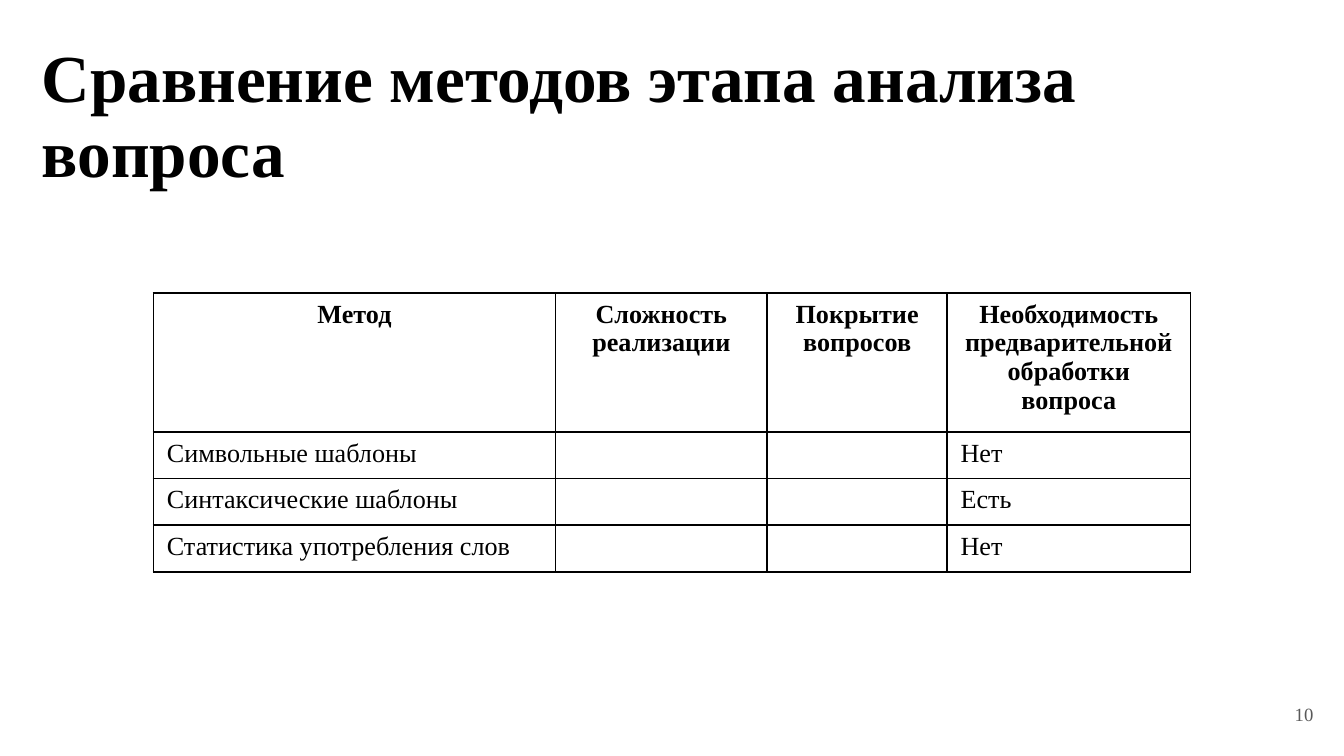
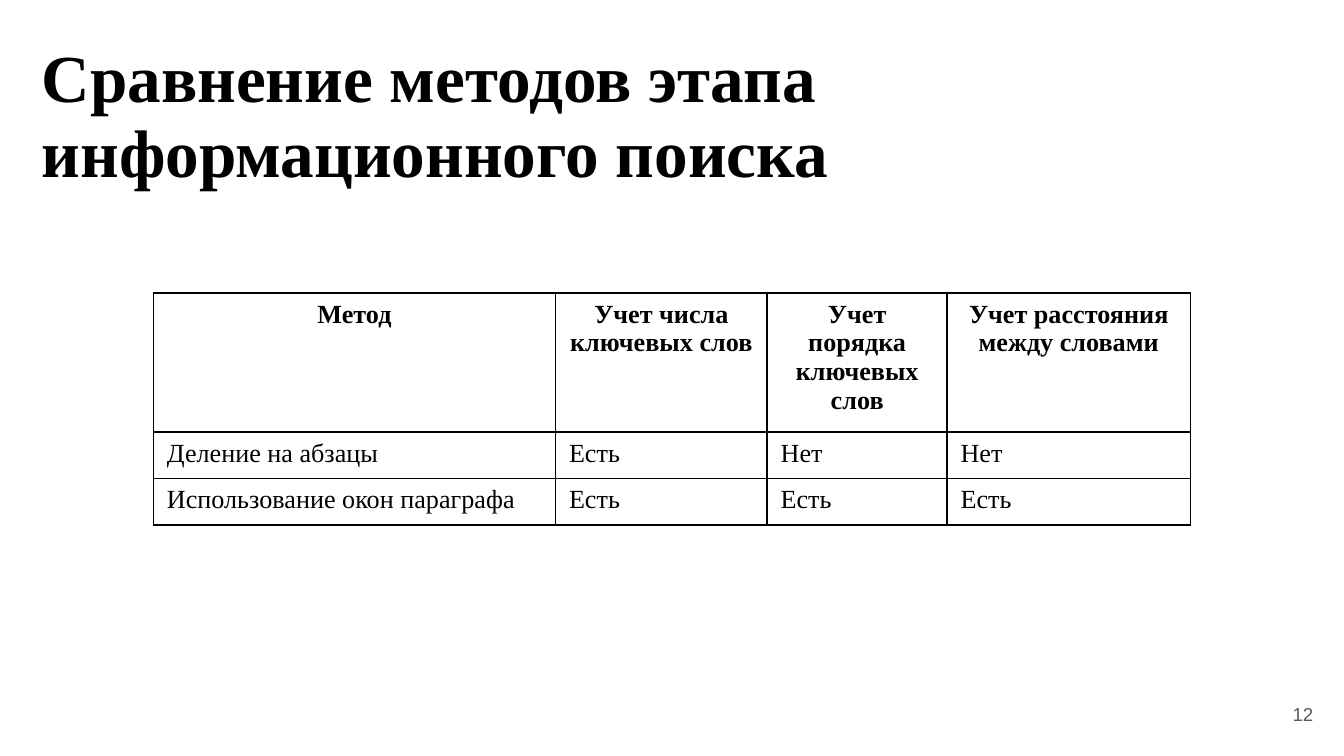
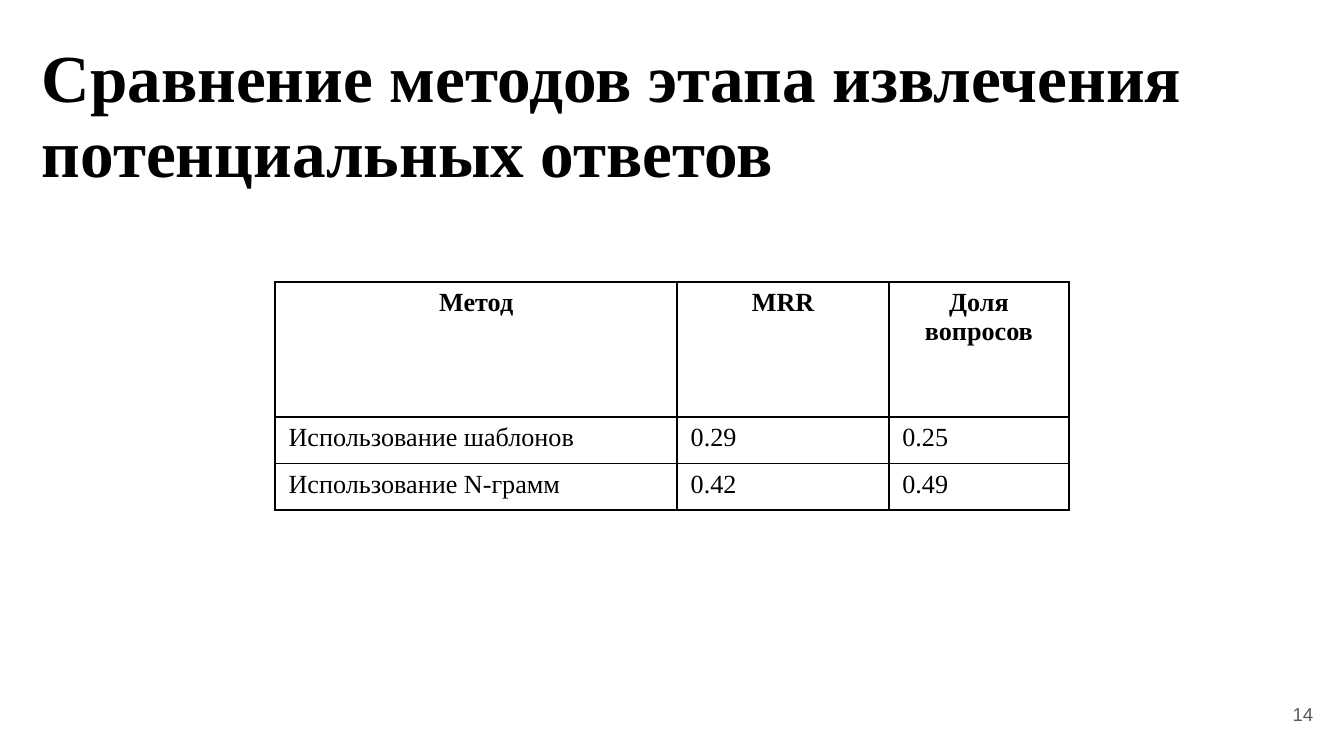
from dataclasses import dataclass

from lxml import etree
from pptx import Presentation
from pptx.dml.color import RGBColor
from pptx.enum.text import MSO_ANCHOR, PP_ALIGN
from pptx.oxml.ns import qn
from pptx.util import Cm, Pt

LEFT, MID, RIGHT = PP_ALIGN.LEFT, PP_ALIGN.CENTER, PP_ALIGN.RIGHT
TOP, CENTER = MSO_ANCHOR.TOP, MSO_ANCHOR.MIDDLE

SLIDES = [
    {
        "title": "Сравнение методов этапа анализа вопроса",
        "page": ("10", "Times New Roman"),
        "top": 5.54,
        "rows": [
            ("Метод", "Сложность реализации", "Покрытие вопросов",
             "Необходимость предварительной обработки вопроса"),
            ("Символьные шаблоны", "", "", "Нет"),
            ("Синтаксические шаблоны", "", "", "Есть"),
            ("Статистика употребления слов", "", "", "Нет"),
        ],
    },
    {
        "title": "Сравнение методов этапа информационного поиска",
        "page": ("12", "Arial"),
        "top": 5.54,
        "rows": [
            ("Метод", "Учет числа ключевых слов", "Учет порядка ключевых слов",
             "Учет расстояния между словами"),
            ("Деление на абзацы", "Есть", "Нет", "Нет"),
            ("Использование окон параграфа", "Есть", "Есть", "Есть"),
        ],
    },
    {
        "title": "Сравнение методов этапа извлечения потенциальных ответов",
        "page": ("14", "Arial"),
        "top": 5.33,
        "rows": [
            ("Метод", "MRR", "Доля вопросов"),
            ("Использование шаблонов", "0.29", "0.25"),
            ("Использование N-грамм", "0.42", "0.49"),
        ],
    },
]

WIDE, HIGH = 25.4, 14.29
COLS = (7.6, 4, 3.4, 4.6)
HEAD, ROW = 2.55, 0.88


@dataclass(frozen=True)
class Theme:
    ink: str = "000000"
    gray: str = "595959"
    face: str = "Times New Roman"
    title: int = 36
    cell: int = 14
    page: int = 10
    rule: int = 1


THEME = Theme()


def set_all(item, values):
    for name, value in values.items():
        setattr(item, name, value)


def write(par, text, size, color, face=THEME.face, bold=False, align=LEFT):
    par.alignment = align
    run = par.add_run()
    run.text = text
    set_all(run.font, {"name": face, "size": Pt(size), "bold": bold})
    run.font.color.rgb = RGBColor.from_string(color)


def add_text(slide, box, pads, anchor):
    frame = slide.shapes.add_textbox(*map(Cm, box)).text_frame
    sides = ("margin_left", "margin_top", "margin_right", "margin_bottom")
    set_all(frame, dict(zip(sides, map(Cm, pads))))
    set_all(frame, {"word_wrap": True, "vertical_anchor": anchor})
    return frame.paragraphs[0]


def add_title(slide, text):
    par = add_text(slide, (0.56, 0.61, 23.95, 3.53), (0.23, 0.2, 0.23, 0.1), TOP)
    par.line_spacing = 0.93
    write(par, text, THEME.title, THEME.ink, bold=True)


def add_page(slide, text, face):
    par = add_text(slide, (23.55, 12.95, 1.52, 1.09), (0.25,) * 4, CENTER)
    write(par, text, THEME.page, THEME.gray, face, align=RIGHT)


def add_edges(cell):
    props = cell._tc.get_or_add_tcPr()
    for spot, side in enumerate(("lnL", "lnR", "lnT", "lnB")):
        line = etree.Element(qn(f"a:{side}"), w=str(Pt(THEME.rule)))
        fill = etree.SubElement(line, qn("a:solidFill"))
        etree.SubElement(fill, qn("a:srgbClr"), val=THEME.ink)
        props.insert(spot, line)


def fill_cell(cell, text, head):
    cell.fill.background()
    add_edges(cell)
    par = cell.text_frame.paragraphs[0]
    if text:
        write(par, text, THEME.cell, THEME.ink, bold=head,
              align=MID if head else LEFT)
    else:
        etree.SubElement(par._p, qn("a:endParaRPr"), sz=str(THEME.cell * 100))


def add_grid(slide, top, rows):
    cols = COLS[:len(rows[0])]
    tall = [HEAD] + [ROW] * (len(rows) - 1)
    wide = sum(cols)
    box = ((WIDE - wide) / 2, top, wide, sum(tall))
    grid = slide.shapes.add_table(len(rows), len(cols), *map(Cm, box)).table
    set_all(grid, {"first_row": False, "horz_banding": False})
    for col, size in zip(grid.columns, cols):
        col.width = Cm(size)
    for r, (row, size) in enumerate(zip(rows, tall)):
        grid.rows[r].height = Cm(size)
        for c, text in enumerate(row):
            fill_cell(grid.cell(r, c), text, r == 0)


def main():
    deck = Presentation()
    set_all(deck, {"slide_width": Cm(WIDE), "slide_height": Cm(HIGH)})
    for data in SLIDES:
        slide = deck.slides.add_slide(deck.slide_layouts[6])
        add_title(slide, data["title"])
        add_page(slide, *data["page"])
        add_grid(slide, data["top"], data["rows"])
    deck.save("out.pptx")


if __name__ == "__main__":
    main()
